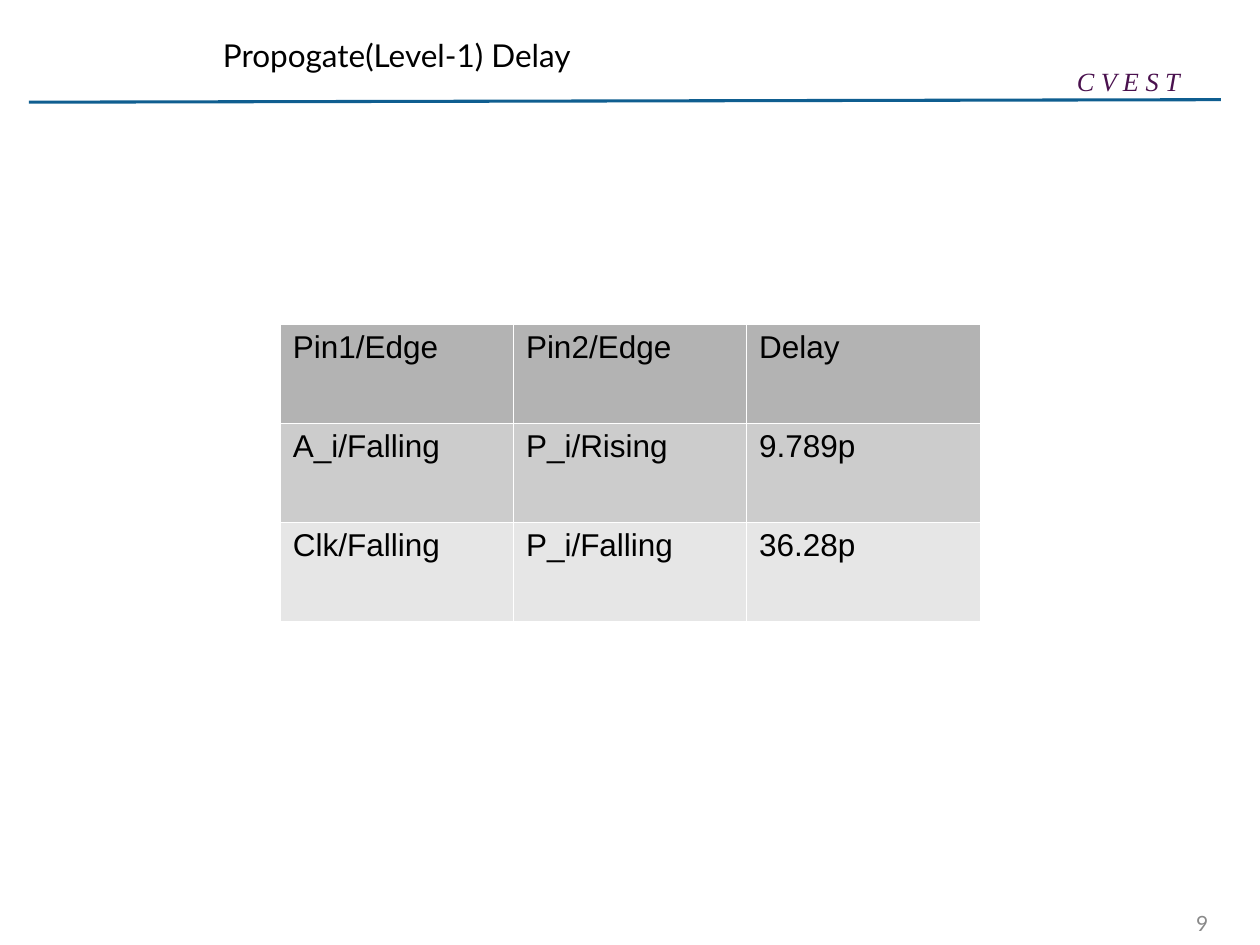
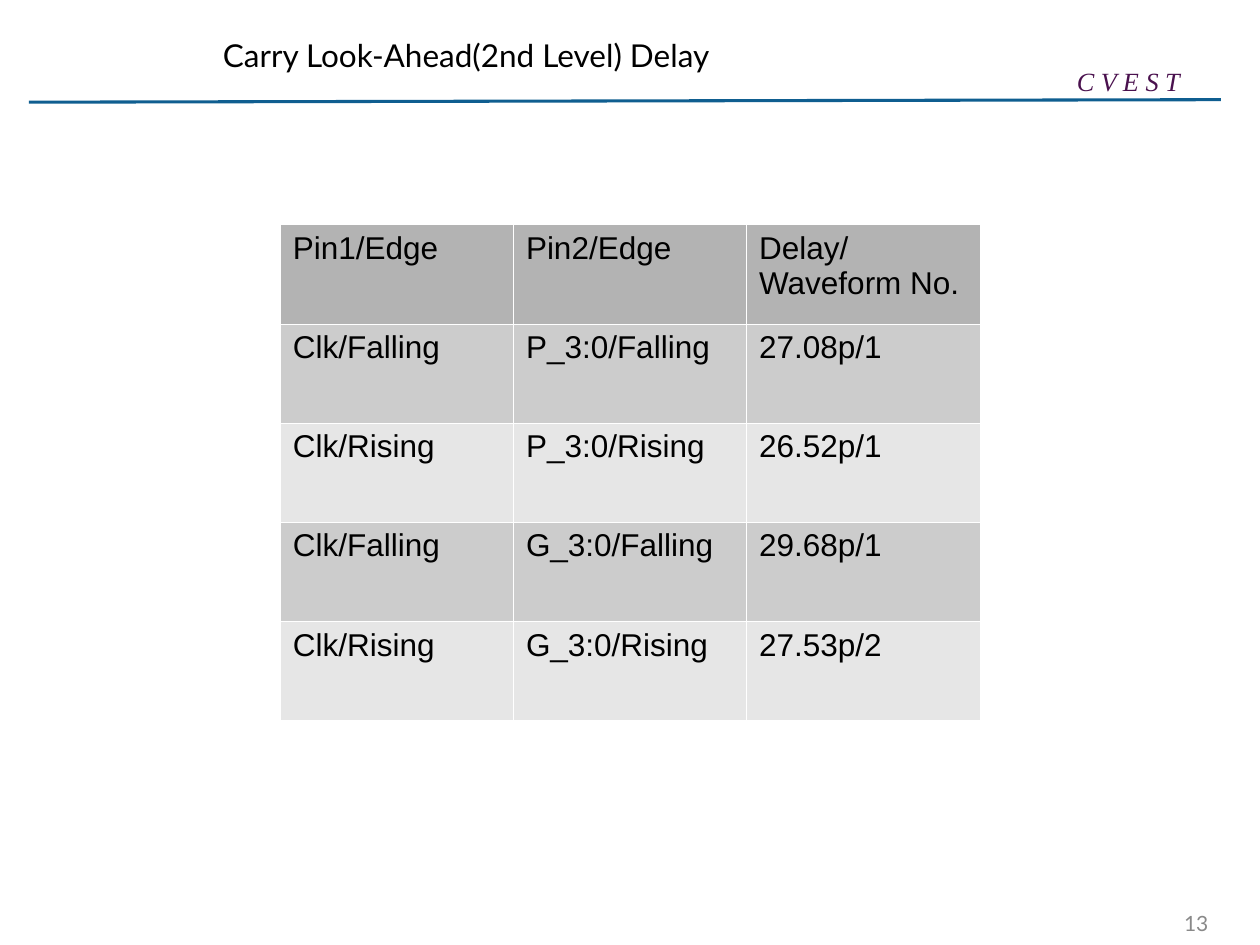
import dataclasses

import pptx
import pptx.dml.color
import pptx.enum.shapes
import pptx.enum.text
import pptx.oxml
import pptx.oxml.ns
import pptx.util
from pptx.util import Cm, Pt

SLIDES = [
    {
        "title": "Propogate(Level-1) Delay",
        "number": 9,
        "rows": [
            ("Pin1/Edge", "Pin2/Edge", "Delay"),
            ("A_i/Falling", "P_i/Rising", "9.789p"),
            ("Clk/Falling", "P_i/Falling", "36.28p"),
        ],
    },
    {
        "title": "Carry Look-Ahead(2nd Level) Delay",
        "number": 13,
        "rows": [
            ("Pin1/Edge", "Pin2/Edge", "Delay/Waveform No."),
            ("Clk/Falling", "P_3:0/Falling", "27.08p/1"),
            ("Clk/Rising", "P_3:0/Rising", "26.52p/1"),
            ("Clk/Falling", "G_3:0/Falling", "29.68p/1"),
            ("Clk/Rising", "G_3:0/Rising", "27.53p/2"),
        ],
    },
]
GROUP_NAME = "C V E S T"


@dataclasses.dataclass(frozen=True)
class Theme:
    text: str = "000000"
    rule: str = "0F5E90"
    group: str = "4A114E"
    number: str = "898989"
    header_fill: str = "B3B3B3"
    band_fills: tuple = ("CCCCCC", "E6E6E6")
    border: str = "FFFFFF"
    title_font: str = "Lato"
    table_font: str = "Arial"
    group_font: str = "Times New Roman"
    main_size: int = 18
    group_size: int = 15
    number_size: int = 12


THEME = Theme()
SLIDE_WIDTH, SLIDE_HEIGHT = Cm(25.4), Cm(19.05)
COLUMN_WIDTH, ROW_HEIGHT = Cm(4.7), Cm(2)
TITLE_AREA = Cm(4.24), Cm(0.38), Cm(15.98), Cm(1.47)
GROUP_AREA = Cm(21.46), Cm(1.19), Cm(3.28), Cm(0.89)
NUMBER_AREA = Cm(22.5), Cm(18.21), Cm(2.11), Cm(0.81)
RULE_ENDS = Cm(0.58), Cm(2.06), Cm(24.61), Cm(2.01)
MIDDLE = pptx.enum.text.MSO_ANCHOR.MIDDLE


def rgb(value):
    return pptx.dml.color.RGBColor.from_string(value)


def style_text(frame, font_name, size, color, italic=False):
    for para in frame.paragraphs:
        para.font.name = font_name
        para.font.size = Pt(size)
        para.font.color.rgb = rgb(color)
        para.font.italic = italic
        para.font.bold = False


def add_label(page, area, text, *style, **options):
    frame = page.shapes.add_textbox(*area).text_frame
    frame.word_wrap = True
    frame.text = text
    style_text(frame, *style, **options)
    return frame


def add_title(page, text):
    title = page.shapes.title
    title.left, title.top, title.width, title.height = TITLE_AREA
    frame = title.text_frame
    frame.text = text
    frame.auto_size = pptx.enum.text.MSO_AUTO_SIZE.NONE
    frame.vertical_anchor = MIDDLE
    frame.paragraphs[0].alignment = pptx.enum.text.PP_ALIGN.LEFT
    style_text(frame, THEME.title_font, THEME.main_size, THEME.text)


def add_page_frame(page, number):
    """Add the header rule, the group name and the page number."""
    rule = page.shapes.add_connector(
        pptx.enum.shapes.MSO_CONNECTOR.STRAIGHT, *RULE_ENDS)
    rule.line.color.rgb = rgb(THEME.rule)
    rule.line.width = Pt(1.75)
    properties = rule.element.spPr
    properties.append(pptx.oxml.parse_xml(
        f"<a:effectLst {pptx.oxml.ns.nsdecls('a')}/>"))

    add_label(page, GROUP_AREA, GROUP_NAME, THEME.group_font,
              THEME.group_size, THEME.group, italic=True)
    frame = add_label(page, NUMBER_AREA, str(number), THEME.title_font,
                      THEME.number_size, THEME.number)
    frame.vertical_anchor = MIDDLE
    frame.paragraphs[0].alignment = pptx.enum.text.PP_ALIGN.RIGHT


def add_borders(cell):
    properties = cell._tc.get_or_add_tcPr()
    for side in ("lnL", "lnR", "lnT", "lnB"):
        properties.append(pptx.oxml.parse_xml(
            f"<a:{side} {pptx.oxml.ns.nsdecls('a')} w='{Pt(0.06)}'>"
            f"<a:solidFill><a:srgbClr val='{THEME.border}'/></a:solidFill>"
            f"</a:{side}>"))


def add_delay_table(page, rows):
    """Add the delay table, centred on the page."""
    width, height = COLUMN_WIDTH * len(rows[0]), ROW_HEIGHT * len(rows)
    table = page.shapes.add_table(
        len(rows), len(rows[0]), (SLIDE_WIDTH - width) // 2,
        (SLIDE_HEIGHT - height) // 2, width, height).table
    table.first_row = table.horz_banding = False
    for row_index, row in enumerate(rows):
        fill = THEME.band_fills[(row_index - 1) % 2] if row_index else THEME.header_fill
        for column_index, text in enumerate(row):
            cell = table.cell(row_index, column_index)
            cell.text = text
            style_text(cell.text_frame, THEME.table_font, THEME.main_size, THEME.text)
            add_borders(cell)
            cell.fill.solid()
            cell.fill.fore_color.rgb = rgb(fill)


def main():
    deck = pptx.Presentation()
    deck.slide_width, deck.slide_height = SLIDE_WIDTH, SLIDE_HEIGHT
    title_only = deck.slide_layouts.get_by_name("Title Only")
    for content in SLIDES:
        page = deck.slides.add_slide(title_only)
        add_page_frame(page, content["number"])
        add_title(page, content["title"])
        add_delay_table(page, content["rows"])
    deck.save("out.pptx")


if __name__ == "__main__":
    main()
